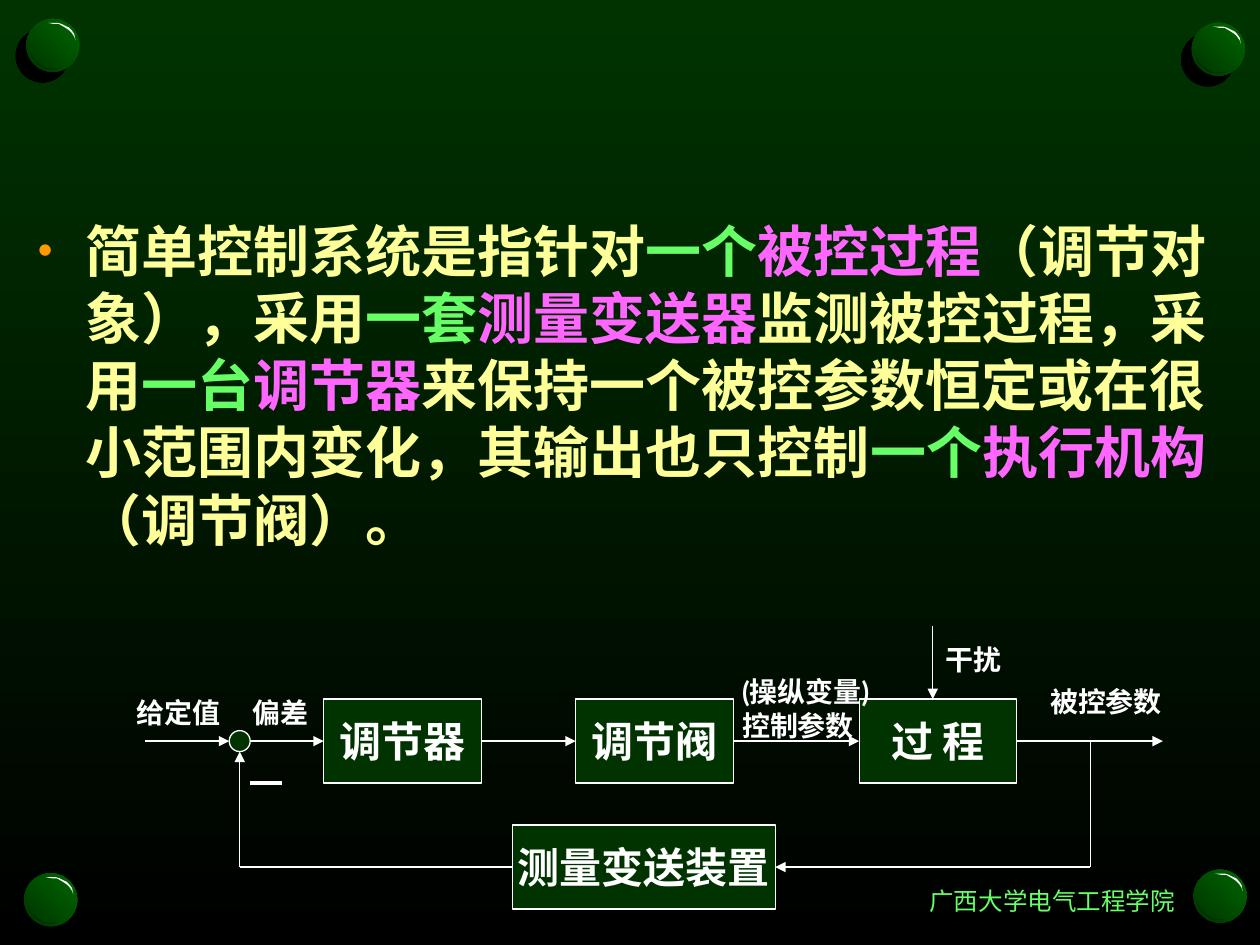
from lxml import etree
from pptx import Presentation
from pptx.dml.color import RGBColor as RGB
from pptx.enum.shapes import MSO_CONNECTOR, MSO_SHAPE
from pptx.enum.text import MSO_ANCHOR, MSO_AUTO_SIZE, PP_ALIGN
from pptx.oxml.ns import qn
from pptx.util import Pt


class Theme:
    dark, ball, black = RGB(0, 0x33, 0), RGB(0, 0x66, 0), RGB(0, 0, 0)
    white, cream = RGB(255, 255, 255), RGB(0xFF, 0xFF, 0x99)
    green, pink = RGB(0x66, 0xFF, 0x66), RGB(0xFF, 0x66, 0xFF)
    bullet = "FF9900"
    body_font, label_font, footer_font = "Times New Roman", "Lato", "Roboto Condensed"
    body_size, block_size, label_size, footer_size = Pt(32), Pt(24), Pt(16), Pt(14)
    thin, thick = Pt(0.75), Pt(2.25)


prs = Presentation()
prs.slide_width, prs.slide_height = Pt(720), Pt(540)
s = prs.slides.add_slide(prs.slide_layouts[1])
title = s.shapes.title
title.element.getparent().remove(title.element)


def add_run(p, text, font, size, color, bold=True):
    r = p.add_run()
    r.text = text
    r.font.name, r.font.size, r.font.bold = font, size, bold
    r.font.color.rgb = color


def connect(start, end, arrow=True, width=Theme.thin, begin=None, finish=None):
    """Draw a line; begin and finish are optional (shape, side) joints."""
    c = s.shapes.add_connector(MSO_CONNECTOR.STRAIGHT,
                               *(Pt(v) for v in (*start, *end)))
    if begin:
        c.begin_connect(*begin)
    if finish:
        c.end_connect(*finish)
    c.line.color.rgb, c.line.width = Theme.white, width
    if arrow:
        etree.SubElement(c.line._get_or_add_ln(), qn("a:tailEnd"), type="triangle")
    etree.SubElement(c._element.spPr, qn("a:effectLst"))


# Background
fill = s.background.fill
fill.gradient()
fill.gradient_angle = 270
for stop, color in zip(fill.gradient_stops, (Theme.dark, Theme.black)):
    stop.color.rgb = color

# Corner balls, each with a highlight and a shaded rim
highlight = [(12.2, 2.2), (18, 2.2), (20.2, 2.9), (21.6, 3.6), (24.5, 5),
             (25.9, 6.5), (27.4, 8.6), (28.1, 12.2), (27.4, 10.1), (25.9, 7.9),
             (24.5, 6.5), (22.3, 5), (18.7, 2.9), (15.8, 2.9)]
rim = [(18.7, 28.1), (14.4, 28.1), (11.5, 28.1), (9.4, 26.6), (7.2, 25.2),
       (5.8, 23.8), (4.3, 23), (2.2, 18), (2.9, 21.6), (4.3, 23.8),
       (5.8, 25.2), (8.6, 27.4), (10.8, 28.8), (13.7, 28.8), (16.6, 28.8)]
for x, y in [(15, 10.8), (681, 13), (682, 497), (13.8, 499)]:
    sp = s.shapes.add_shape(MSO_SHAPE.OVAL, Pt(x), Pt(y), Pt(30.3), Pt(30.3))
    sp.line.fill.background()
    sp.fill.gradient()
    sp.fill.gradient_angle = 45
    for stop, color in zip(sp.fill.gradient_stops, (Theme.dark, Theme.ball)):
        stop.color.rgb = color
    sp.shadow.inherit = False
    effects = sp._element.spPr.find(qn("a:effectLst"))
    shadow = etree.SubElement(effects, qn("a:outerShdw"), blurRad="0",
                              dist=str(Pt(8.5)), dir="8100000", algn="ctr",
                              rotWithShape="0")
    etree.SubElement(shadow, qn("a:srgbClr"), val=str(Theme.black))
    for outline, color in [(highlight, Theme.white), (rim, Theme.dark)]:
        points = [(Pt(x + dx), Pt(y + dy)) for dx, dy in outline]
        builder = s.shapes.build_freeform(*points[0])
        builder.add_line_segments(points[1:], close=True)
        sp = builder.convert_to_shape()
        sp.shadow.inherit = False
        sp.fill.solid()
        sp.fill.fore_color.rgb = color
        sp.line.fill.background()

# Definition
body = s.placeholders[1]
body.left, body.top, body.width, body.height = Pt(14.4), Pt(120), Pt(694), Pt(212.4)
tf = body.text_frame
tf.auto_size, tf.vertical_anchor = MSO_AUTO_SIZE.NONE, MSO_ANCHOR.TOP
p = tf.paragraphs[0]
p.space_before = Pt(0)
pPr = p._p.get_or_add_pPr()
pPr.set("marL", str(Pt(27)))
pPr.set("indent", str(Pt(-27)))
etree.SubElement(etree.SubElement(pPr, qn("a:buClr")), qn("a:srgbClr"), val=Theme.bullet)
etree.SubElement(pPr, qn("a:buSzPct"), val="75000")
etree.SubElement(pPr, qn("a:buChar"), char="•")
for text, color in [
    ("简单控制系统是指针对", Theme.cream), ("一个", Theme.green),
    ("被控过程", Theme.pink), ("（调节对象），采用", Theme.cream),
    ("一套", Theme.green), ("测量变送器", Theme.pink),
    ("监测被控过程，采用", Theme.cream), ("一台", Theme.green),
    ("调节器", Theme.pink),
    ("来保持一个被控参数恒定或在很小范围内变化，其输出也只控制", Theme.cream),
    ("一个", Theme.green), ("执行机构", Theme.pink), ("（调节阀）。", Theme.cream),
]:
    add_run(p, text, Theme.body_font, Theme.body_size, color)

# Control loop: blocks and summing point
main_y, feedback_y, block_h = 423.5, 495.5, 48
sum_x, sum_r = 137, 6
tap_x, disturb_x = 623, 533
blocks = []
for text, x, mid_y, w in [("调节器", 185, main_y, 90), ("调节阀", 329, main_y, 90),
                          ("过 程", 491, main_y, 90),
                          ("测量变送装置", 293, feedback_y, 150)]:
    sp = s.shapes.add_shape(MSO_SHAPE.RECTANGLE, Pt(x), Pt(mid_y - block_h / 2),
                            Pt(w), Pt(block_h))
    tf = sp.text_frame
    tf.word_wrap, tf.vertical_anchor = False, MSO_ANCHOR.MIDDLE
    p = tf.paragraphs[0]
    p.alignment = PP_ALIGN.CENTER
    add_run(p, text, Theme.label_font, Theme.block_size, Theme.white)
    blocks.append(sp)
summing = s.shapes.add_shape(MSO_SHAPE.OVAL, Pt(sum_x - sum_r), Pt(main_y - sum_r),
                             Pt(2 * sum_r), Pt(2 * sum_r))
for sp in [*blocks, summing]:
    sp.shadow.inherit = False
    sp.fill.solid()
    sp.fill.fore_color.rgb = Theme.dark
    sp.line.color.rgb, sp.line.width = Theme.white, Theme.thin
controller, valve, process, transmitter = blocks

# Signal paths
connect((83, main_y), (sum_x - sum_r, main_y))
connect((sum_x + sum_r, main_y), (185, main_y), finish=(controller, 1))
connect((275, main_y), (329, main_y), begin=(controller, 3), finish=(valve, 1))
connect((419, main_y), (491, main_y), begin=(valve, 3), finish=(process, 1))
connect((581, main_y), (664.5, main_y), begin=(process, 3))
connect((tap_x, main_y), (tap_x, feedback_y), arrow=False)
connect((tap_x, feedback_y), (443, feedback_y), finish=(transmitter, 3))
connect((293, feedback_y), (sum_x, feedback_y), arrow=False, begin=(transmitter, 1))
connect((sum_x, feedback_y), (sum_x, main_y + sum_r))
connect((disturb_x, 358), (disturb_x, main_y - block_h / 2))
connect((143, 447.5), (161, 447.5), arrow=False, width=Theme.thick)  # minus sign

# Signal labels and footer: boxes a little wider than their text, so no line breaks
label = (Theme.label_font, Theme.label_size, Theme.white, True)
footer = (Theme.footer_font, Theme.footer_size, Theme.green, False)
for lines, x, y, w, h, style in [
    (["给定值"], 71, 394, 64, 26.6, label),
    (["偏差"], 137, 394, 48, 26.6, label),
    (["干扰"], 533, 363.6, 48, 26.6, label),
    (["被控参数"], 593, 387.5, 80, 26.6, label),
    (["(操纵变量)", "控制参数"], 417, 382, 98, 46, label),
    (["广西大学电气工程学院"], 524, 502.5, 156, 24.5, footer),
]:
    tf = s.shapes.add_textbox(Pt(x), Pt(y), Pt(w), Pt(h)).text_frame
    tf.word_wrap, tf.auto_size = False, MSO_AUTO_SIZE.SHAPE_TO_FIT_TEXT
    for i, line in enumerate(lines):
        p = tf.add_paragraph() if i else tf.paragraphs[0]
        add_run(p, line, *style)

prs.save("out.pptx")
